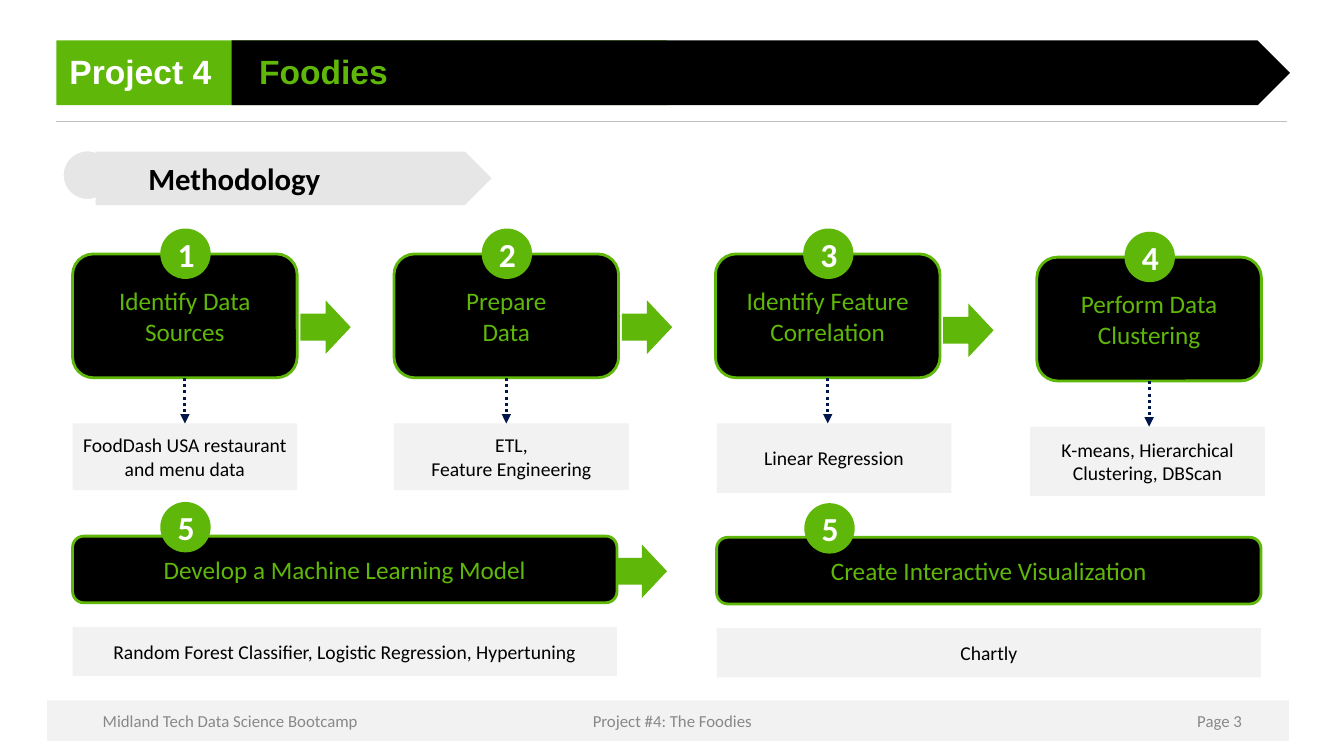
from lxml import etree
from pptx import Presentation
from pptx.dml.color import RGBColor
from pptx.enum.dml import MSO_LINE
from pptx.enum.shapes import MSO_CONNECTOR, MSO_SHAPE
from pptx.enum.text import MSO_ANCHOR, PP_ALIGN
from pptx.oxml.ns import qn
from pptx.util import Cm, Pt

RECT, ROUNDED = MSO_SHAPE.RECTANGLE, MSO_SHAPE.ROUNDED_RECTANGLE
CIRCLE, PLATE = MSO_SHAPE.FLOWCHART_CONNECTOR, MSO_SHAPE.PENTAGON
ARROW = MSO_SHAPE.RIGHT_ARROW
STRAIGHT, DOTTED = MSO_CONNECTOR.STRAIGHT, MSO_LINE.ROUND_DOT
LEFT, CENTER, RIGHT = PP_ALIGN.LEFT, PP_ALIGN.CENTER, PP_ALIGN.RIGHT
MIDDLE, BOTTOM = MSO_ANCHOR.MIDDLE, MSO_ANCHOR.BOTTOM

COLORS = {
    "green": "5FB709", "black": "000000", "white": "FFFFFF", "navy": "00174B",
    "silver": "E7E6E6", "pale": "F2F2F2", "rule": "BFBFBF", "footer": "888888",
}


class SlideBuilder:
    """Holds the shared style and the slide being drawn."""

    body_font, title_font = "Calibri", "Arial"

    def __init__(self, page):
        self.page = page

    def color(self, name):
        return RGBColor.from_string(COLORS[name])

    def fill_text(self, box, lines, size, color, bold=False, align=CENTER,
                  anchor=MIDDLE, font=body_font, spacing=None):
        frame = box.text_frame
        frame.word_wrap = True
        frame.vertical_anchor = anchor
        for index, line in enumerate(lines):
            para = frame.add_paragraph() if index else frame.paragraphs[0]
            para.alignment = align
            para.line_spacing = spacing
            span = para.add_run()
            span.text = line
            span.font.name = font
            span.font.size = Pt(size)
            span.font.bold = bold
            span.font.color.rgb = self.color(color)

    def shape(self, kind, left, top, width, height, fill, outline=None):
        box = self.page.shapes.add_shape(
            kind, Cm(left), Cm(top), Cm(width), Cm(height))
        box.shadow.inherit = False
        box.fill.solid()
        box.fill.fore_color.rgb = self.color(fill)
        if outline:
            box.line.color.rgb = self.color(outline)
            box.line.width = Pt(2)
        else:
            box.line.fill.background()
        return box

    def text(self, left, top, width, height, line, size, color, **style):
        box = self.page.shapes.add_textbox(
            Cm(left), Cm(top), Cm(width), Cm(height))
        self.fill_text(box, [line], size, color, **style)

    def line(self, start, end, color, width):
        connector = self.page.shapes.add_connector(STRAIGHT, *start, *end)
        connector.line.color.rgb = self.color(color)
        connector.line.width = Pt(width)
        etree.SubElement(connector._element.spPr, qn("a:effectLst"))
        return connector

    def dotted_arrow(self, card, note):
        middle = card.left + card.width // 2
        connector = self.line((middle, card.top + card.height),
                              (middle, note.top), "navy", 2.25)
        connector.line.dash_style = DOTTED
        outline = connector._element.spPr.find(qn("a:ln"))
        etree.SubElement(outline, qn("a:tailEnd")).set("type", "triangle")
        connector.begin_connect(card, 2)
        if note.width == card.width:
            connector.end_connect(note, 0)

    def block_arrow(self, left, top):
        self.shape(ARROW, left, top, 1.27, 1.35, "green")

    def card(self, left, top, width, height, lines, number, badge_rise):
        box = self.shape(ROUNDED, left, top, width, height, "black", "green")
        self.fill_text(box, lines, 18, "green")
        badge = self.shape(CIRCLE, left + 2.21, top - badge_rise,
                           1.27, 1.27, "green")
        self.fill_text(badge, [number], 24, "white", bold=True)
        return box

    def note(self, left, top, width, height, lines):
        box = self.shape(RECT, left, top, width, height, "pale")
        self.fill_text(box, lines, 14, "black")
        return box


def main():
    deck = Presentation()
    deck.slide_width, deck.slide_height = Cm(33.87), Cm(19.05)
    page = deck.slides.add_slide(deck.slide_layouts[6])
    builder = SlideBuilder(page)

    # Title banner
    builder.line((Cm(1.42), Cm(3.05)), (Cm(32.44), Cm(3.05)), "rule", 0.75)
    for left, width, fill in ((1.42, 16.2, "green"), (5.84, 26.67, "black")):
        builder.shape(PLATE, left, 1.02, width, 1.63, fill)
    for left, width, title, color in ((1.5, 4.34, "Project 4", "white"),
                                      (6.28, 13, "Foodies", "green")):
        builder.text(left, 0.81, width, 1.63, title, 24, color, bold=True,
                     align=LEFT, anchor=BOTTOM, spacing=0.9,
                     font=builder.title_font)

    # Section heading
    builder.shape(CIRCLE, 1.57, 3.78, 1.27, 1.27, "silver", "white")
    heading = builder.shape(PLATE, 2.41, 3.82, 9.98, 1.35, "silver")
    heading.text_frame.margin_left = Cm(1.33)
    builder.fill_text(heading, ["Methodology"], 22, "black", bold=True,
                      align=LEFT)

    # Four steps: card text, card top, note text, note left, width and height
    steps = [
        (["Identify Data Sources"], 6.4,
         ["FoodDash USA restaurant and menu data"], 1.83, 5.66, 1.68),
        (["Prepare", "Data"], 6.4,
         ["ETL,", "Feature Engineering"], 9.93, 5.92, 1.68),
        (["Identify Feature Correlation"], 6.4,
         ["Linear Regression"], 18.06, 5.92, 1.75),
        (["Perform Data Clustering"], 6.48,
         ["K-means, Hierarchical Clustering, DBScan"], 25.96, 5.92, 1.75),
    ]
    for index, (lines, top, detail, note_left, width, height) in enumerate(steps):
        left = 1.83 + 8.1 * index
        card = builder.card(left, top, 5.66, 3.12, lines, str(index + 1), 0.64)
        note = builder.note(note_left, top + 4.27, width, height, detail)
        builder.dotted_arrow(card, note)
    for index, top in enumerate((7.57, 7.57, 7.65)):
        builder.block_arrow(7.57 + 8.1 * index, top)

    # Two closing stages
    stages = [
        (1.83, 13.51, "Develop a Machine Learning Model",
         "Random Forest Classifier, Logistic Regression, Hypertuning"),
        (18.06, 13.54, "Create Interactive Visualization", "Chartly"),
    ]
    for left, top, name, detail in stages:
        builder.card(left, top, 13.72, 1.68, [name], "5", 0.86)
        builder.note(left, top + 2.29, 13.72, 1.24, [detail])
    builder.block_arrow(15.54, 13.72)

    # Footer
    builder.shape(RECT, 1.19, 17.65, 31.29, 1.02, "pale")
    for left, width, line, align in (
            (2.34, 7.62, "Midland Tech Data Science Bootcamp", LEFT),
            (11.23, 11.43, "Project #4: The Foodies", CENTER),
            (23.93, 7.62, "Page 3", RIGHT)):
        builder.text(left, 17.65, width, 1.02, line, 12, "footer", align=align)

    deck.save("out.pptx")


if __name__ == "__main__":
    main()
